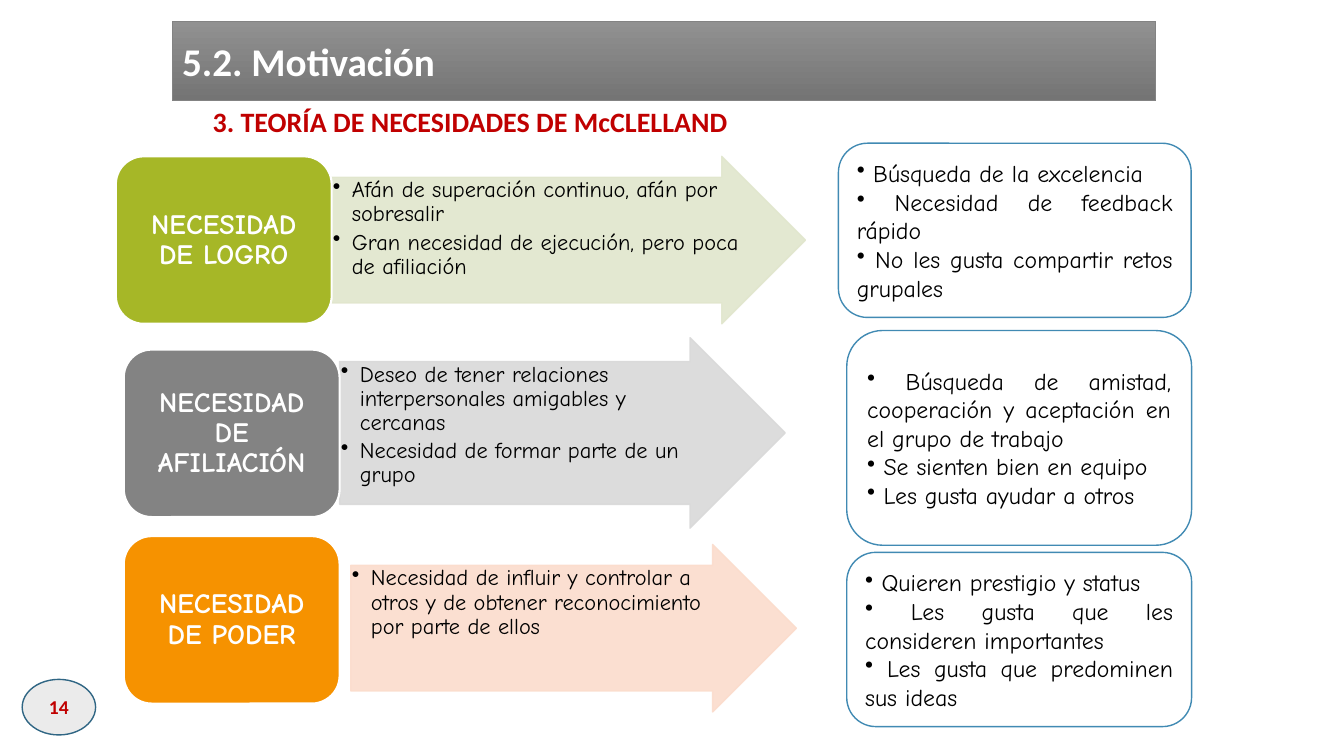
"""Build the slide on McClelland's theory of needs."""
from lxml import etree
from pptx import Presentation
from pptx import util as u
from pptx.dml import color
from pptx.enum import shapes, text
from pptx.oxml import ns

Cm, Pt = u.Cm, u.Pt
Kind = shapes.MSO_SHAPE
Side = text.PP_ALIGN
Hold = text.MSO_ANCHOR


class Theme:
    white, black, red = "FFFFFF", "000000", "C00000"
    blue, pale, navy = "418AB3", "EBEBEB", "306684"
    gray, light, dark = "838383", "919191", "747474"
    plain, comic = "Calibri", "Comic Neue"
    title, head, need, card, arrow, page = 28, 20, 20, 17, 16, 14


def write(shape, lines, size, ink, font=Theme.comic, bold=False, side=Side.LEFT,
          hold=Hold.MIDDLE, pad=(0.25, 0.13), lead=None, after=0, hang=0, dot=False):
    """Fill a shape with formatted paragraphs."""
    frame = shape.text_frame
    frame.word_wrap = True
    frame.vertical_anchor = hold
    frame.margin_left = frame.margin_right = Cm(pad[0])
    frame.margin_top = frame.margin_bottom = Cm(pad[1])
    for n, line in enumerate(lines):
        para = frame.add_paragraph() if n else frame.paragraphs[0]
        para.alignment, para.space_after = side, Pt(after)
        if lead:
            para.line_spacing = lead
        if dot:
            props = para._p.get_or_add_pPr()
            props.set("marL", str(Cm(hang)))
            props.set("indent", str(-Cm(hang)))
            etree.SubElement(props, ns.qn("a:buChar")).set("char", "•")
        run = para.add_run()
        run.text = line
        run.font.name, run.font.size, run.font.bold = font, Pt(size), bold
        run.font.color.rgb = color.RGBColor.from_string(ink)


def draw(kind, box, fill, line, width, alpha=None):
    """Add a flat shape with its fill and outline."""
    shape = slide.shapes.add_shape(kind, *map(Cm, box))
    shape.shadow.inherit = False
    shape.fill.solid()
    shape.fill.fore_color.rgb = color.RGBColor.from_string(fill)
    shape.line.color.rgb = color.RGBColor.from_string(line)
    shape.line.width = Pt(width)
    if alpha:
        for tint in shape._element.spPr.iter(ns.qn("a:srgbClr")):
            etree.SubElement(tint, ns.qn("a:alpha")).set("val", str(alpha * 1000))
    return shape


deck = Presentation()
deck.slide_width, deck.slide_height = Cm(33.87), Cm(19.05)
slide = deck.slides.add_slide(deck.slide_layouts[6])

page = draw(Kind.OVAL, (0.56, 17.12, 1.85, 1.4), Theme.pale, Theme.navy, 1)
write(page, ["14"], Theme.page, Theme.red, Theme.plain, True, Side.CENTER, pad=(0, 0))

rows = [
    ("NECESIDAD DE LOGRO", (2.92, 3.94), "A6B727",
     (8.36, 3.94, 11.94, 4.22), "E1E6CD",
     ["Afán de superación continuo, afán por sobresalir",
      "Gran necesidad de ejecución, pero poca de afiliación"],
     (21.13, 3.61, 8.89, 4.39),
     [" Búsqueda de la excelencia", " Necesidad de feedback rápido",
      " No les gusta compartir retos grupales"]),
    ("NECESIDAD DE AFILIACIÓN", (3.12, 8.81), Theme.gray,
     (8.56, 8.51, 11.23, 4.8), "D9D9D9",
     ["Deseo de tener relaciones interpersonales amigables y cercanas",
      "Necesidad de formar parte de un grupo"],
     (21.34, 8.33, 8.69, 5.41),
     [" Búsqueda de amistad, cooperación y aceptación en el grupo de trabajo",
      " Se sienten bien en equipo", " Les gusta ayudar a otros"]),
    ("NECESIDAD DE PODER", (3.12, 13.51), "F69200",
     (8.84, 13.72, 11.23, 4.22), "FBDCCC",
     ["Necesidad de influir y controlar a otros y de obtener reconocimiento "
      "por parte de ellos"],
     (21.34, 13.92, 8.69, 4.39),
     [" Quieren prestigio y status", " Les gusta que les consideren importantes",
      " Les gusta que predominen sus ideas"]),
]
for need, spot, hue, reach, tint, traits, frame, signs in rows:
    arrow = draw(Kind.RIGHT_ARROW, reach, tint, tint, 1, alpha=90)
    arrow.adjustments[0], arrow.adjustments[1] = 0.75, 0.5
    write(arrow, traits, Theme.arrow, Theme.black, hold=Hold.TOP, pad=(0.03, 0.03),
          lead=0.9, after=2.9, hang=0.48, dot=True)
    block = draw(Kind.ROUNDED_RECTANGLE, (*spot, 5.44, 4.22), hue, Theme.white, 1.5)
    write(block, [need], Theme.need, Theme.white, bold=True, side=Side.CENTER,
          pad=(0.2, 0.1), lead=0.9)
    card = draw(Kind.ROUNDED_RECTANGLE, frame, Theme.white, Theme.blue, 1)
    write(card, signs, Theme.card, Theme.black, side=Side.JUSTIFY, dot=True)

head = slide.shapes.add_textbox(Cm(5.11), Cm(2.51), Cm(23.44), Cm(1.4))
write(head, ["3. TEORÍA DE NECESIDADES DE McCLELLAND"], Theme.head, Theme.red,
      Theme.plain, True, hold=Hold.TOP)

bar = draw(Kind.RECTANGLE, (4.34, 0.53, 24.79, 2.01), Theme.gray, Theme.gray, 0.5)
bar.fill.gradient()
bar.fill.gradient_angle = 270
for stop, shade in zip(bar.fill.gradient_stops, (Theme.light, Theme.dark)):
    stop.color.rgb = color.RGBColor.from_string(shade)
write(bar, ["5.2. Motivación"], Theme.title, Theme.white, Theme.plain, True, Side.JUSTIFY)

deck.save("out.pptx")
